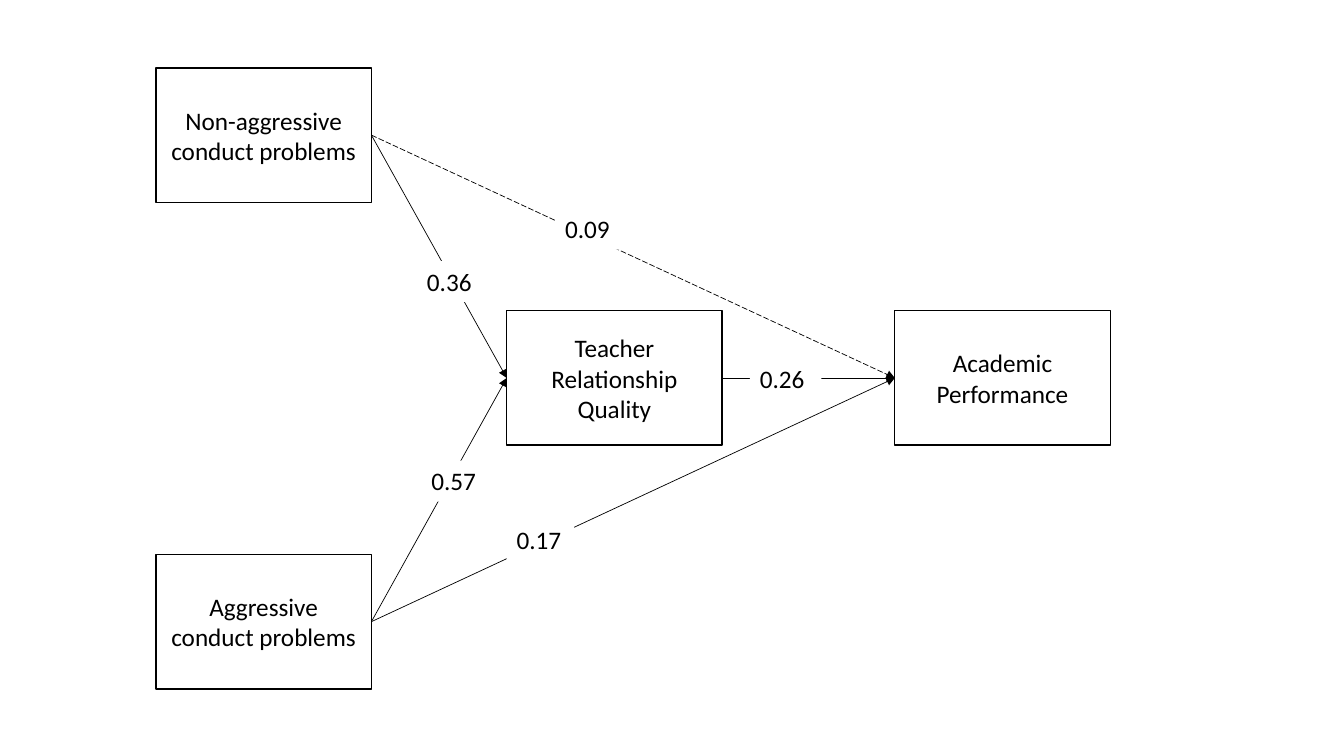
import pptx
import pptx.dml.color
import pptx.enum.dml
import pptx.enum.shapes
import pptx.enum.text
import pptx.oxml
import pptx.oxml.ns
import pptx.util

Cm = pptx.util.Cm
Pt = pptx.util.Pt
Align = pptx.enum.text.PP_ALIGN
Anchor = pptx.enum.text.MSO_ANCHOR
AutoSize = pptx.enum.text.MSO_AUTO_SIZE

COLOURS = {"ink": "000000", "paper": "FFFFFF"}
BOX_WIDTH, BOX_HEIGHT = 5.43, 3.39
LABEL_HEIGHT = 1.03
RIGHT, LEFT = 3, 1

# name: text, left, top
BOXES = {
    "non_aggressive": ("Non-aggressive conduct problems", 3.93, 1.71),
    "aggressive": ("Aggressive conduct problems", 3.93, 13.97),
    "performance": ("Academic Performance", 22.55, 7.83),
    "relationship": ("Teacher Relationship\nQuality", 12.77, 7.83),
}
# start box, end box, dashed
PATHS = [
    ("non_aggressive", "relationship", False),
    ("aggressive", "relationship", False),
    ("relationship", "performance", False),
    ("non_aggressive", "performance", True),
    ("aggressive", "performance", False),
]
# coefficient, left, top, width
COEFFICIENTS = [
    ("0.17", 12.77, 13.08, 1.7),
    ("0.09", 13.99, 5.26, 1.98),
    ("0.26", 18.9, 9.02, 1.8),
    ("0.36", 10.51, 6.58, 1.73),
    ("0.57", 10.62, 11.61, 1.8),
]


def colour(name):
    return pptx.dml.color.RGBColor.from_string(COLOURS[name])


def write_text(shape, text, align=Align.LEFT, anchor=Anchor.TOP,
               size=18, font="Calibri", ink="ink"):
    frame = shape.text_frame
    frame.word_wrap = True
    frame.vertical_anchor = anchor
    frame.text = text
    for paragraph in frame.paragraphs:
        paragraph.alignment = align
        for run in paragraph.runs:
            run.font.size = Pt(size)
            run.font.name = font
            run.font.color.rgb = colour(ink)


def fill_paper(shape):
    shape.fill.solid()
    shape.fill.fore_color.rgb = colour("paper")


def add_box(slide, text, left, top):
    box = slide.shapes.add_shape(
        pptx.enum.shapes.MSO_SHAPE.RECTANGLE,
        Cm(left), Cm(top), Cm(BOX_WIDTH), Cm(BOX_HEIGHT))
    box.shadow.inherit = False
    fill_paper(box)
    box.line.color.rgb = colour("ink")
    box.line.width = Pt(1)
    write_text(box, text, align=Align.CENTER, anchor=Anchor.MIDDLE)
    return box


def add_arrow(slide, start, end, dashed):
    """Join the right side of one box to the left side of another."""
    arrow = slide.shapes.add_connector(
        pptx.enum.shapes.MSO_CONNECTOR.STRAIGHT, 0, 0, 0, 0)
    arrow.begin_connect(start, RIGHT)
    arrow.end_connect(end, LEFT)
    arrow.line.color.rgb = colour("ink")
    arrow.line.width = Pt(0.5)
    if dashed:
        arrow.line.dash_style = pptx.enum.dml.MSO_LINE.LONG_DASH
    properties = arrow._element.spPr
    namespace = pptx.oxml.ns.nsdecls("a")
    properties.find(pptx.oxml.ns.qn("a:ln")).append(
        pptx.oxml.parse_xml(f'<a:tailEnd {namespace} type="triangle"/>'))
    properties.append(pptx.oxml.parse_xml(f"<a:effectLst {namespace}/>"))


def add_coefficient(slide, text, left, top, width):
    label = slide.shapes.add_textbox(
        Cm(left), Cm(top), Cm(width), Cm(LABEL_HEIGHT))
    fill_paper(label)
    write_text(label, text)
    label.text_frame.auto_size = AutoSize.SHAPE_TO_FIT_TEXT


def main():
    presentation = pptx.Presentation()
    presentation.slide_width = Cm(33.87)
    presentation.slide_height = Cm(19.05)
    slide = presentation.slides.add_slide(presentation.slide_layouts[6])

    boxes = {name: add_box(slide, *box) for name, box in BOXES.items()}
    for start, end, dashed in PATHS:
        add_arrow(slide, boxes[start], boxes[end], dashed)
    for coefficient in COEFFICIENTS:
        add_coefficient(slide, *coefficient)

    presentation.save("out.pptx")


if __name__ == "__main__":
    main()
